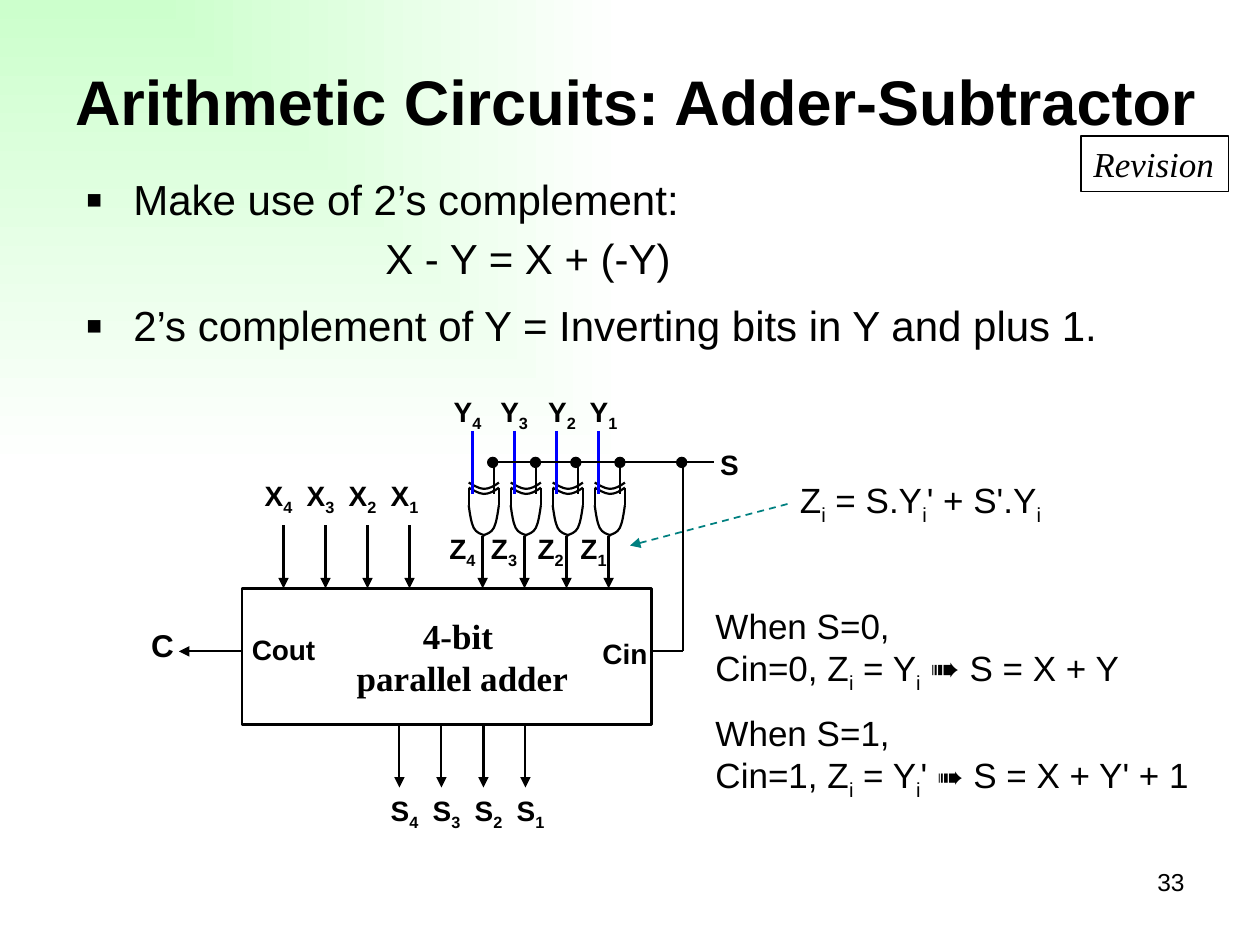
from lxml.etree import SubElement
from pptx import Presentation
from pptx.dml.color import RGBColor
from pptx.enum.dml import MSO_LINE
from pptx.enum.shapes import MSO_CONNECTOR, MSO_SHAPE
from pptx.enum.text import MSO_ANCHOR, PP_ALIGN
from pptx.oxml import parse_xml
from pptx.oxml.ns import nsdecls, qn
from pptx.util import Cm, Pt

BLACK = RGBColor(0, 0, 0)
BLUE = RGBColor(0, 0, 255)
TEAL = RGBColor(0, 128, 128)
MINT = RGBColor(0xCC, 0xFF, 0xCC)
WHITE = RGBColor(255, 255, 255)
SERIF = "Times New Roman"
PITCH = 1 / 3  # distance between neighbouring bit lines, inches


def inch(value):
    """Length for a measure on the slide's inch grid."""
    return Cm(value * 2.54)


def box(*sides):
    """Left, top, width and height as lengths."""
    return [inch(side) for side in sides]


def set_background(slide):
    """Fade the background from mint at the top left corner to white."""
    slide._element.cSld.insert(0, parse_xml(
        f'<p:bg {nsdecls("p", "a")}><p:bgPr><a:gradFill rotWithShape="0"><a:gsLst>'
        f'<a:gs pos="0"><a:srgbClr val="{MINT}"/></a:gs>'
        f'<a:gs pos="100000"><a:srgbClr val="{WHITE}"/></a:gs></a:gsLst>'
        '<a:path path="rect"><a:fillToRect r="100000" b="100000"/></a:path>'
        '</a:gradFill><a:effectLst/></p:bgPr></p:bg>'))


def write(paragraph, text, size, font="Arial", bold=False, italic=False,
          align=PP_ALIGN.LEFT, before=0):
    """Write text run by run; every second part between bars is a subscript."""
    paragraph.alignment = align
    paragraph.space_before = Pt(before)
    for index, part in enumerate(text.split("|")):
        if not part:
            continue
        run = paragraph.add_run()
        run.text = part
        run.font.size = Pt(18 if part == "➠" else size)
        run.font.name = font
        run.font.bold = bold
        run.font.italic = italic
        run.font.color.rgb = BLACK
        if index % 2:
            run.font._element.set("baseline", "-25000")


def add_text(parent, place, lines, size, before=(), **style):
    """Add a wrapped text box with one paragraph for each line."""
    frame = parent.shapes.add_textbox(*box(*place)).text_frame
    frame.word_wrap = True
    for index, line in enumerate(lines):
        paragraph = frame.add_paragraph() if index else frame.paragraphs[0]
        write(paragraph, line, size, before=before[index] if before else 0, **style)
    return frame


def add_label(parent, center, top, text, size=16, width=0.58):
    """Add a bold label centred on a given position."""
    add_text(parent, (center - width / 2, top, width, 0.37), [text], size,
             before=[2], bold=True, align=PP_ALIGN.CENTER)


def add_line(parent, start, end, color=BLACK, width=1.25, arrow=False, dash=False):
    """Add a straight wire, with an arrowhead at its end if wanted."""
    wire = parent.shapes.add_connector(MSO_CONNECTOR.STRAIGHT, *box(*start, *end))
    wire.line.color.rgb = color
    wire.line.width = Pt(width)
    if dash:
        wire.line.dash_style = MSO_LINE.DASH
    if arrow:
        SubElement(wire.line._get_or_add_ln(), qn("a:tailEnd"), type="triangle")
    SubElement(wire._element.spPr, qn("a:effectLst"))


def add_shape(parent, kind, place, width, fill=None):
    """Add an outlined preset shape."""
    shape = parent.shapes.add_shape(kind, *box(*place))
    shape.shadow.inherit = False
    shape.line.color.rgb = BLACK
    shape.line.width = Pt(width)
    if fill is None:
        shape.fill.background()
    else:
        shape.fill.solid()
        shape.fill.fore_color.rgb = fill
    return shape


def add_curve(parent, knots):
    """Add an open outline of cubic curves through a start and knots in threes."""
    points = [tuple(box(*knot)) for knot in knots]
    builder = parent.shapes.build_freeform(*points[0])
    builder.add_line_segments(points[1:], close=False)
    curve = builder.convert_to_shape()
    curve.shadow.inherit = False
    curve.fill.background()
    curve.line.color.rgb = BLACK
    curve.line.width = Pt(1.25)
    segments = list(curve._element.iter(qn("a:lnTo")))
    outline = segments[0].getparent()
    for first in range(0, len(segments), 3):
        cubic = SubElement(outline, qn("a:cubicBezTo"))
        for segment in segments[first:first + 3]:
            cubic.append(segment[0])
            outline.remove(segment)


def add_xor_gate(parent, center):
    """Draw an XOR gate that points down."""
    arc = [(.12, 0), (.08, .03), (.04, .05), (0, .05), (-.04, .05), (-.1, .01), (-.12, 0)]
    side = [(.12, 4.01), (.11, 4.08), (.1, 4.15), (.08, 4.19), (.06, 4.23),
            (.02, 4.24), (-.01, 4.25)]
    for top in (3.83, 3.87):
        add_curve(parent, [(center + x, top + y) for x, y in arc])
    for sign in (-1, 1):
        edge = center + sign * 0.12
        add_line(parent, (edge, 3.87), (edge, 4.01))
        add_curve(parent, [(center + sign * x, y) for x, y in side])


def add_adder(parent):
    """Draw the adder block with its carry wires."""
    add_shape(parent, MSO_SHAPE.RECTANGLE, (1.92, 4.67, 3.25, 1.08), 1.5)
    add_text(parent, (2.42, 4.83, 2.5, 0.77), ["4-bit ", "parallel adder"], 20,
             font=SERIF, bold=True, align=PP_ALIGN.CENTER)
    add_line(parent, (1.92, 5.17), (1.42, 5.17), arrow=True)
    add_label(parent, 1.29, 4.92, "C", size=18, width=0.42)
    add_label(parent, 2.25, 4.97, "Cout", width=0.75)
    add_label(parent, 4.96, 5, "Cin")


def add_bits(parent):
    """Draw the four bit columns: inputs, gates and sums."""
    y_centers = (3.71, 4.08, 4.46, 4.79)
    z_centers = (3.67, 4, 4.37, 4.71)
    for index, (y_center, z_center) in enumerate(zip(y_centers, z_centers)):
        bit, shift = 4 - index, index * PITCH
        add_line(parent, (2.25 + shift, 4.17), (2.25 + shift, 4.67), arrow=True)
        add_line(parent, (3.17 + shift, 5.75), (3.17 + shift, 6.25), arrow=True)
        add_line(parent, (3.83 + shift, 4.25), (3.83 + shift, 4.67), arrow=True)
        add_xor_gate(parent, 3.84 + shift)
        add_line(parent, (3.75 + shift, 3.42), (3.75 + shift, 3.92), BLUE)
        add_line(parent, (3.92 + shift, 3.67), (3.92 + shift, 3.92))
        add_label(parent, 2.21 + shift, 3.75, f"X|{bit}")
        add_label(parent, 3.21 + shift, 6.25, f"S|{bit}")
        add_label(parent, y_center, 3.08, f"Y|{bit}")
        add_label(parent, z_center, 4.17, f"Z|{bit}")


def add_select(parent):
    """Draw the select wire S with its junctions and its way to Cin."""
    add_line(parent, (3.92, 3.67), (5.67, 3.67))
    add_line(parent, (5.42, 3.67), (5.42, 5.17))
    add_line(parent, (5.17, 5.17), (5.42, 5.17))
    for left in (3.87, 4.21, 4.53, 4.88, 5.37):
        add_shape(parent, MSO_SHAPE.OVAL, (left, 3.63, 0.08, 0.08), 0.75, BLACK)
    add_label(parent, 5.79, 3.5, "S", width=0.42)


def add_points(slide):
    """Add the bulleted statements and the indented equation."""
    frame = add_text(slide, (0.58, 1.33, 8.33, 1.67),
                     ["Make use of 2’s complement:", "X - Y = X + (-Y)",
                      "2’s complement of Y = Inverting bits in Y and plus 1."],
                     24, before=(5.5, 5, 9.5))
    for index, paragraph in enumerate(frame.paragraphs):
        props = paragraph._p.get_or_add_pPr()
        if index == 1:
            props.set("marL", str(inch(2.38)))
            continue
        props.set("marL", str(inch(0.38)))
        props.set("indent", str(-inch(0.38)))
        SubElement(props, qn("a:buSzPct"), val="120000")
        SubElement(props, qn("a:buFont"), typeface="Arial")
        SubElement(props, qn("a:buChar"), char="▪")


def add_cases(slide):
    """Add the two cases of S."""
    add_text(slide, (5.58, 4.75, 4.08, 1.6),
             ["When S=0,", "Cin=0, Z|i| = Y|i| ➠ S = X + Y",
              "When S=1,", "Cin=1, Z|i| = Y|i|' ||➠|| S = X + Y' + 1"],
             20, before=(2, 0, 10, 0))


def add_equation(parent):
    """Add the gate equation with its pointer."""
    add_text(parent, (6.25, 3.75, 2.33, 0.43), ["Z|i| = S.Y|i|' + S'.Y|i"], 20, before=[2])
    add_line(parent, (6.25, 4), (5, 4.33), TEAL, 1, arrow=True, dash=True)


def main():
    """Build the slide and save it."""
    deck = Presentation()
    deck.slide_width, deck.slide_height = inch(10), inch(7.5)
    slide = deck.slides.add_slide(deck.slide_layouts[5])
    set_background(slide)

    title = slide.shapes.title
    title.left, title.top, title.width, title.height = box(0.42, 0.17, 9.25, 1.25)
    title.text_frame.vertical_anchor = MSO_ANCHOR.MIDDLE
    write(title.text_frame.paragraphs[0], "Arithmetic Circuits: Adder-Subtractor",
          36, bold=True, align=PP_ALIGN.CENTER)

    add_points(slide)
    add_cases(slide)
    circuit = slide.shapes.add_group_shape()
    for add_part in (add_adder, add_bits, add_select):
        add_part(circuit)
    add_equation(slide.shapes.add_group_shape())

    tag = add_shape(slide, MSO_SHAPE.RECTANGLE, (8.58, 1.08, 1.17, 0.44), 0.75)
    tag.text_frame.vertical_anchor = MSO_ANCHOR.MIDDLE
    write(tag.text_frame.paragraphs[0], "Revision", 20, font=SERIF, italic=True)
    add_text(slide, (7.17, 6.83, 2.33, 0.52), ["33"], 14, align=PP_ALIGN.RIGHT)
    deck.save("out.pptx")


main()
